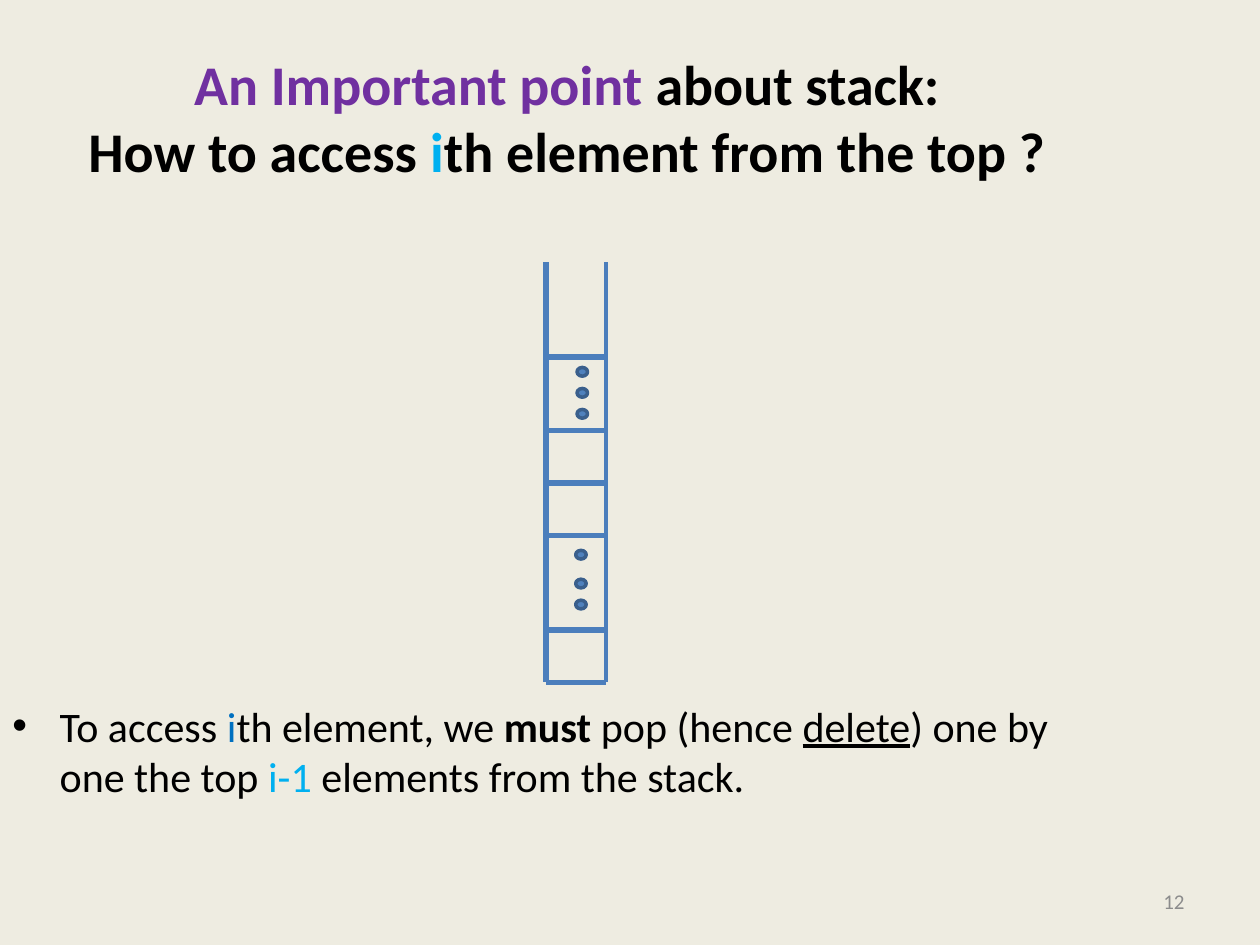
from lxml import etree
from pptx import Presentation
from pptx.dml.color import RGBColor
from pptx.enum.shapes import MSO_CONNECTOR, MSO_SHAPE
from pptx.enum.text import MSO_ANCHOR, PP_ALIGN
from pptx.oxml.ns import qn
from pptx.util import Pt


def color(hex_value):
    return RGBColor.from_string(hex_value)


def add_text(box, anchor, align, size, runs):
    left, top, width, height = map(Pt, box)
    frame = slide.shapes.add_textbox(left, top, width, height).text_frame
    frame.word_wrap = True
    frame.vertical_anchor = anchor
    paragraph = frame.paragraphs[0]
    paragraph.alignment = align
    for words, hex_value, formats in runs:
        if words == "\n":
            paragraph.add_line_break()
            continue
        run = paragraph.add_run()
        run.text = words
        run.font.color.rgb = color(hex_value)
        for key, value in {"name": "Calibri", "size": Pt(size), **formats}.items():
            setattr(run.font, key, value)
    return paragraph


BLACK, SKY = "000000", "00B0F0"
BOLD = {"bold": True}

deck = Presentation()
deck.slide_width, deck.slide_height = Pt(720), Pt(540)
slide = deck.slides.add_slide(deck.slide_layouts[6])
slide.background.fill.solid()
slide.background.fill.fore_color.rgb = color("EEECE1")

# Slide number
add_text((516, 500.5, 168, 28.75), MSO_ANCHOR.MIDDLE, PP_ALIGN.RIGHT, 12,
         [("12", "8C8C8C", {})])

# Title
add_text((0, 21.6, 648, 90), MSO_ANCHOR.MIDDLE, PP_ALIGN.CENTER, 32, [
    ("An Important point ", "7030A0", BOLD),
    ("about stack:", BLACK, BOLD),
    ("\n", BLACK, BOLD),
    ("How to access ", BLACK, BOLD),
    ("i", SKY, BOLD),
    ("th element from the top ?", BLACK, BOLD),
])

# Bulleted conclusion
conclusion = add_text((0, 396.5, 648, 70), MSO_ANCHOR.TOP, PP_ALIGN.LEFT, 24, [
    ("To access ", BLACK, {}),
    ("i", "0070C0", {}),
    ("th element, we ", BLACK, {}),
    ("must", BLACK, BOLD),
    (" pop (hence ", BLACK, {}),
    ("delete", BLACK, {"underline": True}),
    (") one by one the top ", BLACK, {}),
    ("i-1", SKY, {}),
    (" elements from the stack.", BLACK, {}),
])
indents = conclusion._p.get_or_add_pPr()
indents.set("marL", str(Pt(27)))
indents.set("indent", str(Pt(-27)))
etree.SubElement(indents, qn("a:buFont")).set("typeface", "Arial")
etree.SubElement(indents, qn("a:buChar")).set("char", "•")

# Stack: two walls, then the floor and the cell borders
LEFT, RIGHT, TOP, FLOOR = 312, 346.5, 150, 390
walls = [(LEFT, TOP, LEFT, FLOOR, 3), (RIGHT, TOP, RIGHT, FLOOR, 2.25)]
borders = [(LEFT, y, RIGHT, y, 3) for y in (FLOOR, 360, 306, 276, 246, 204)]
for x1, y1, x2, y2, weight in walls + borders:
    edge = slide.shapes.add_connector(
        MSO_CONNECTOR.STRAIGHT, Pt(x1), Pt(y1), Pt(x2), Pt(y2))
    edge.line.color.rgb = color("4B7EBC")
    edge.line.width = Pt(weight)
    etree.SubElement(edge._element.spPr, qn("a:effectLst"))

# Dots for the elements left out
for x, tops in ((329.75, (210, 222, 234)), (329, (314.5, 331, 343))):
    for y in tops:
        dot = slide.shapes.add_shape(MSO_SHAPE.OVAL, Pt(x), Pt(y), Pt(6), Pt(5))
        dot.shadow.inherit = False
        dot.fill.solid()
        dot.fill.fore_color.rgb = color("4F81BD")
        dot.line.color.rgb = color("3A5F8C")
        dot.line.width = Pt(2)

deck.save("out.pptx")
